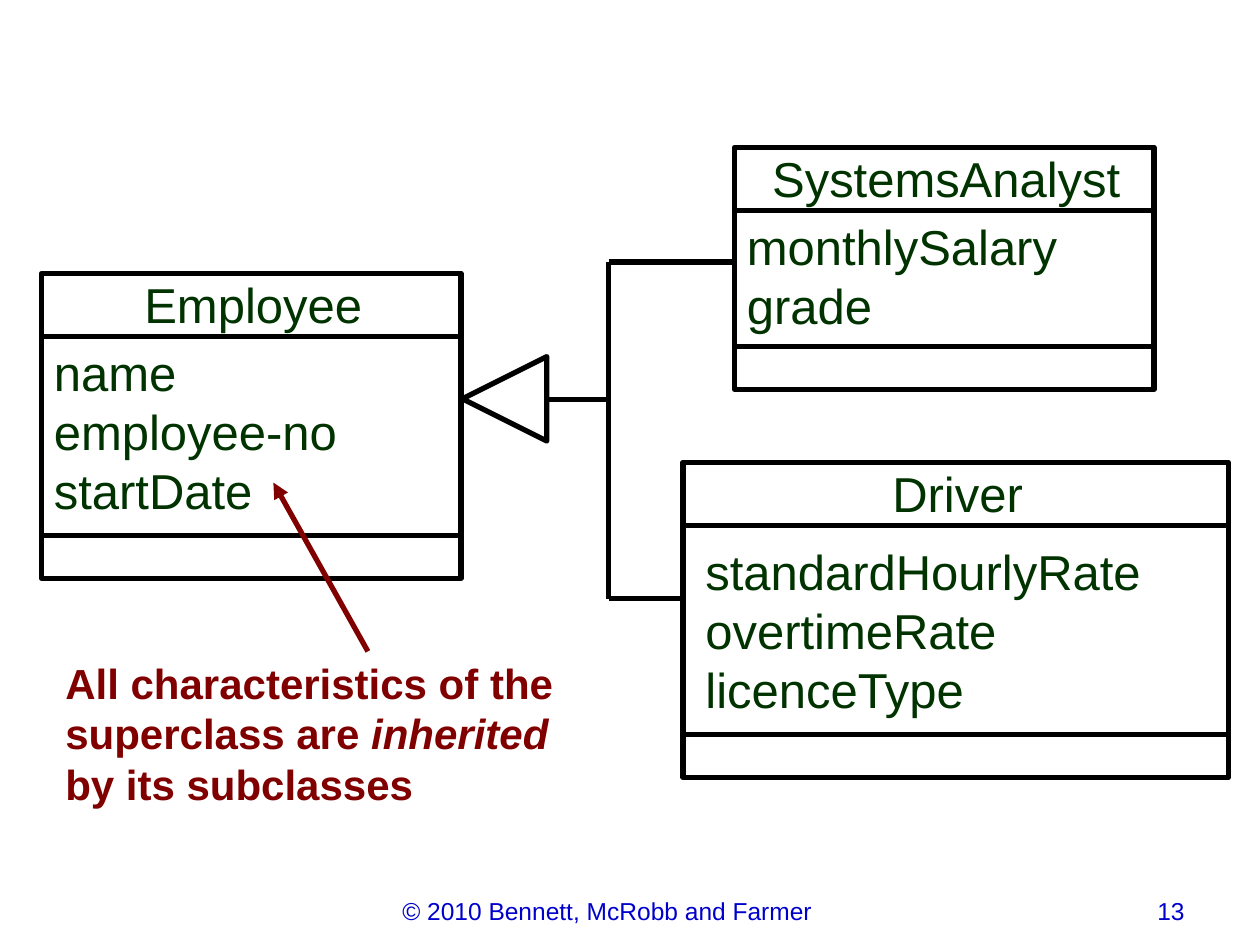
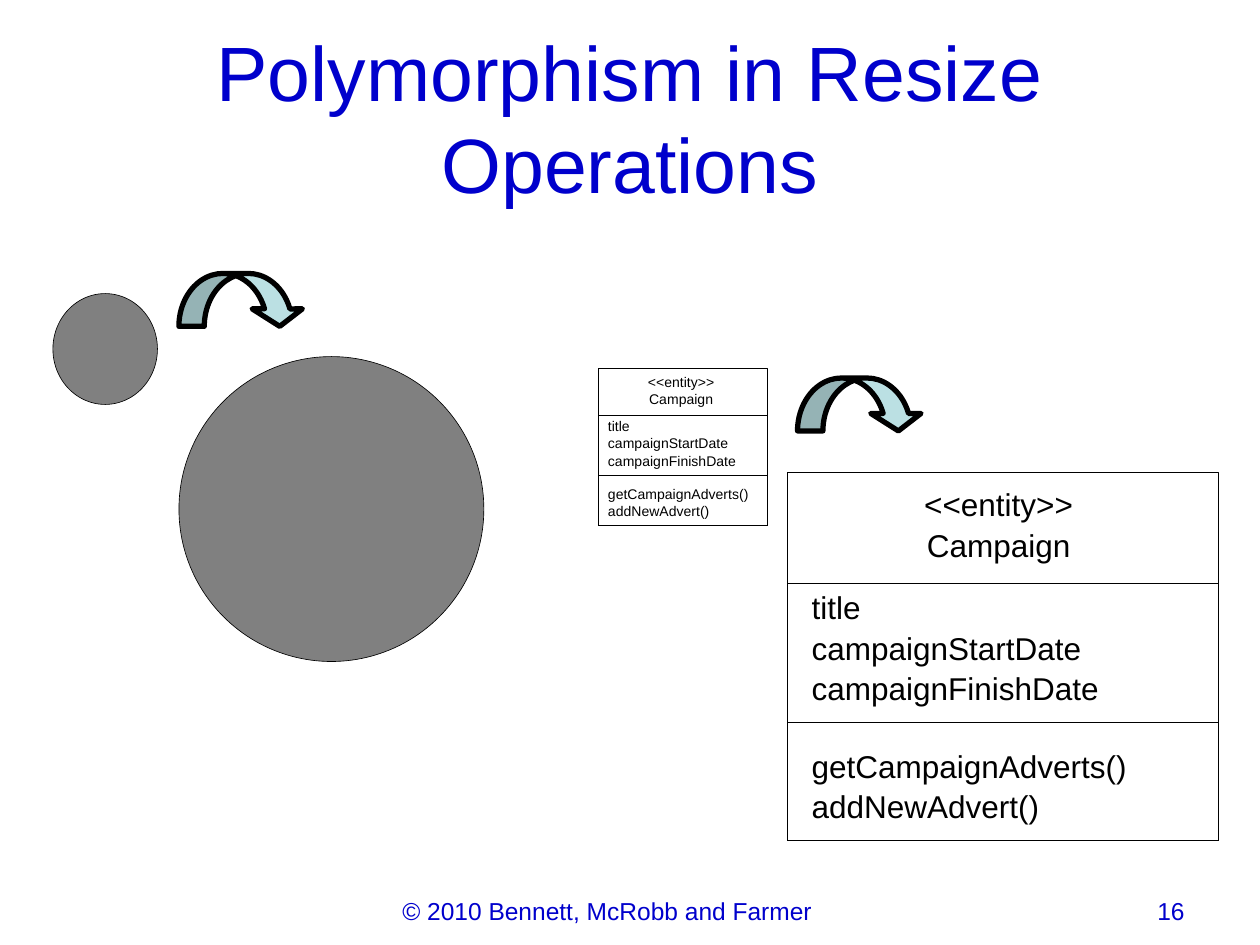
"""Builds two UML slides: inheritance between classes and polymorphic resizing."""
from dataclasses import dataclass

from lxml.etree import SubElement
from pptx import Presentation
from pptx.dml.color import RGBColor
from pptx.enum.shapes import MSO_CONNECTOR, MSO_SHAPE as SHAPE
from pptx.enum.text import MSO_ANCHOR as ANCHOR, MSO_AUTO_SIZE as FIT, PP_ALIGN as ALIGN
from pptx.oxml.ns import qn
from pptx.util import Inches, Pt


@dataclass(frozen=True)
class Theme:
    """Shared colours, font, type sizes and line widths."""
    font: str = "Arial"
    blue: str = "0000CC"
    green: str = "003300"
    maroon: str = "800000"
    black: str = "000000"
    grey: str = "808080"
    pale: str = "BBE0E3"
    title: int = 44
    label: int = 28
    note: int = 24
    footer: int = 14
    thick: float = 3
    thin: float = 0.37


THEME = Theme()
COPYRIGHT = "© 2010 Bennett, McRobb and Farmer"
TITLE = "Polymorphism in Resize Operations"
INSETS = (0.1, 0.05)

CLASSES = [
    dict(name="SystemsAnalyst", at=(5.83, 1.17, 3.33, 1.92),
         fields=["monthlySalary", "grade"]),
    dict(name="Driver", at=(5.42, 3.67, 4.33, 2.5), shift=0.08,
         fields=["standardHourlyRate", "overtimeRate", "licenceType"]),
    dict(name="Employee", at=(0.33, 2.17, 3.33, 2.42),
         fields=["name", "employee-no", "startDate"]),
]
HEADER, OPERATIONS = 0.5, 0.34
BRANCHES = [
    ((4.33, 3.17), (4.83, 3.17)),
    ((4.83, 2.08), (4.83, 4.75)),
    ((4.83, 2.08), (5.83, 2.08)),
    ((4.83, 4.75), (5.42, 4.75)),
]
NOTE = [
    ("All characteristics of the superclass are ", False),
    ("inherited", True),
    (" by its subclasses", False),
]

COMPARTMENTS = [
    dict(top=0, text=0.035, lines=["<<entity>>", "Campaign"]),
    dict(top=0.3, text=0.315,
         lines=["title", "campaignStartDate", "campaignFinishDate"]),
    dict(top=0.68, text=0.745, lines=["getCampaignAdverts()", "addNewAdvert()"]),
]
LINE_STEP, INDENT = 0.11, 0.056
CARDS = [((4.75, 2.92, 1.34, 1.25), 8), ((6.25, 3.75, 3.42, 2.92), 18)]
CIRCLES = [(0.42, 2.33, 0.83, 0.88), (1.42, 2.83, 2.42, 2.42)]
ARROWS = [(6.33, 3), (1.42, 2.17)]


def inches(values):
    """Turns numbers into lengths."""
    return [Inches(value) for value in values]


def style(font, size, color, bold=False, italic=False):
    """Formats a font from the theme."""
    font.name, font.size, font.bold, font.italic = THEME.font, Pt(size), bold, italic
    font.color.rgb = RGBColor.from_string(color)


def add_text(page, at, paragraphs, size, color, align=ALIGN.LEFT, bold=False,
             wrap=True, insets=INSETS):
    """Adds a text box; a paragraph is a string or a list of (text, italic)."""
    frame = page.shapes.add_textbox(*inches(at)).text_frame
    frame.word_wrap = wrap
    frame.margin_left = frame.margin_right = Inches(insets[0])
    frame.margin_top = frame.margin_bottom = Inches(insets[1])
    for index, content in enumerate(paragraphs):
        para = frame.add_paragraph() if index else frame.paragraphs[0]
        para.alignment = align
        for text, italic in [(content, False)] if isinstance(content, str) else content:
            span = para.add_run()
            span.text = text
            style(span.font, size, color, bold, italic)


def add_figure(page, kind, at, weight, fill=None):
    """Adds an outlined preset shape, filled or empty."""
    figure = page.shapes.add_shape(kind, *inches(at))
    figure.shadow.inherit = False
    if fill:
        figure.fill.solid()
        figure.fill.fore_color.rgb = RGBColor.from_string(fill)
    else:
        figure.fill.background()
    figure.line.color.rgb = RGBColor.from_string(THEME.black)
    figure.line.width = Pt(weight)
    return figure


def add_line(page, start, end, color=THEME.black, arrow=False):
    """Adds a straight line, with an arrowhead at its end if asked."""
    line = page.shapes.add_connector(MSO_CONNECTOR.STRAIGHT, *inches(start + end))
    line.line.color.rgb = RGBColor.from_string(color)
    line.line.width = Pt(THEME.thick)
    if arrow:
        SubElement(line.line._get_or_add_ln(), qn("a:tailEnd"), type="triangle")
    SubElement(line._element.spPr, qn("a:effectLst"))


def add_footer(page, number):
    """Adds the copyright line and the page number."""
    for at, text, align in [((7.17, 7.06, 2.33, 0.33), number, ALIGN.RIGHT),
                            ((2.53, 7.06, 4.58, 0.33), COPYRIGHT, ALIGN.CENTER)]:
        add_text(page, at, [text], THEME.footer, THEME.blue, align)


def add_class(page, name, at, fields, shift=0):
    """Draws a class with its name, attributes and empty operations part."""
    left, top, width, height = at
    add_figure(page, SHAPE.RECTANGLE, at, THEME.thick)
    for y in (top + HEADER, top + height - OPERATIONS):
        add_line(page, (left, y), (left + width, y))
    add_text(page, (left, top - 0.04, width + 0.03, 0.57), [name], THEME.label,
             THEME.green, ALIGN.CENTER)
    body = (left + shift, top + HEADER + shift, width - shift,
            height - HEADER - OPERATIONS - shift)
    add_text(page, body, fields, THEME.label, THEME.green)


def add_card(page, at, size):
    """Draws the entity class at any scale."""
    left, top, width, height = at
    for index, part in enumerate(COMPARTMENTS):
        offset = part["top"] * height
        add_figure(page, SHAPE.RECTANGLE, (left, top + offset, width, height - offset),
                   THEME.thin)
        indent = INDENT * width if index else 0
        align = ALIGN.LEFT if index else ALIGN.CENTER
        for row, text in enumerate(part["lines"]):
            y = top + (part["text"] + row * LINE_STEP) * height
            add_text(page, (left + indent, y, 0.98 * width - indent, size / 60), [text],
                     size, THEME.black, align, insets=(0, 0))


def build_inheritance(deck):
    """Builds the slide on inherited characteristics."""
    page = deck.slides.add_slide(deck.slide_layouts[6])
    add_footer(page, "13")
    add_text(page, (0.42, 5.17, 4.25, 1.3), [NOTE], THEME.note, THEME.maroon, bold=True)
    for item in CLASSES:
        add_class(page, **item)
    triangle = add_figure(page, SHAPE.ISOSCELES_TRIANGLE, (3.67, 2.83, 0.67, 0.67),
                          THEME.thick)
    triangle.rotation = 270
    for start, end in BRANCHES:
        add_line(page, start, end)
    add_line(page, (2.92, 5.17), (2.17, 3.83), THEME.maroon, arrow=True)


def build_polymorphism(deck):
    """Builds the slide on resizing different things."""
    page = deck.slides.add_slide(deck.slide_layouts[5])
    add_footer(page, "16")
    title = page.shapes.title
    title.left, title.top, title.width, title.height = inches((0.5, 0.3, 9, 1.25))
    frame = title.text_frame
    frame.text = TITLE
    frame.auto_size, frame.word_wrap = FIT.NONE, True
    frame.vertical_anchor = ANCHOR.MIDDLE
    para = frame.paragraphs[0]
    para.alignment = ALIGN.CENTER
    style(para.runs[0].font, THEME.title, THEME.blue)
    for at, size in CARDS:
        add_card(page, at, size)
    for at in CIRCLES:
        add_figure(page, SHAPE.OVAL, at, THEME.thin, THEME.grey)
    for left, top in ARROWS:
        arrow = add_figure(page, SHAPE.CURVED_DOWN_ARROW, (left, top, 1, 0.42),
                           THEME.thick, THEME.pale)
        for index, value in enumerate((0.48, 0.95, 0.33)):
            arrow.adjustments[index] = value


def main():
    """Builds and saves the deck."""
    deck = Presentation()
    deck.slide_width, deck.slide_height = inches((10, 7.5))
    build_inheritance(deck)
    build_polymorphism(deck)
    deck.save("out.pptx")


if __name__ == "__main__":
    main()
